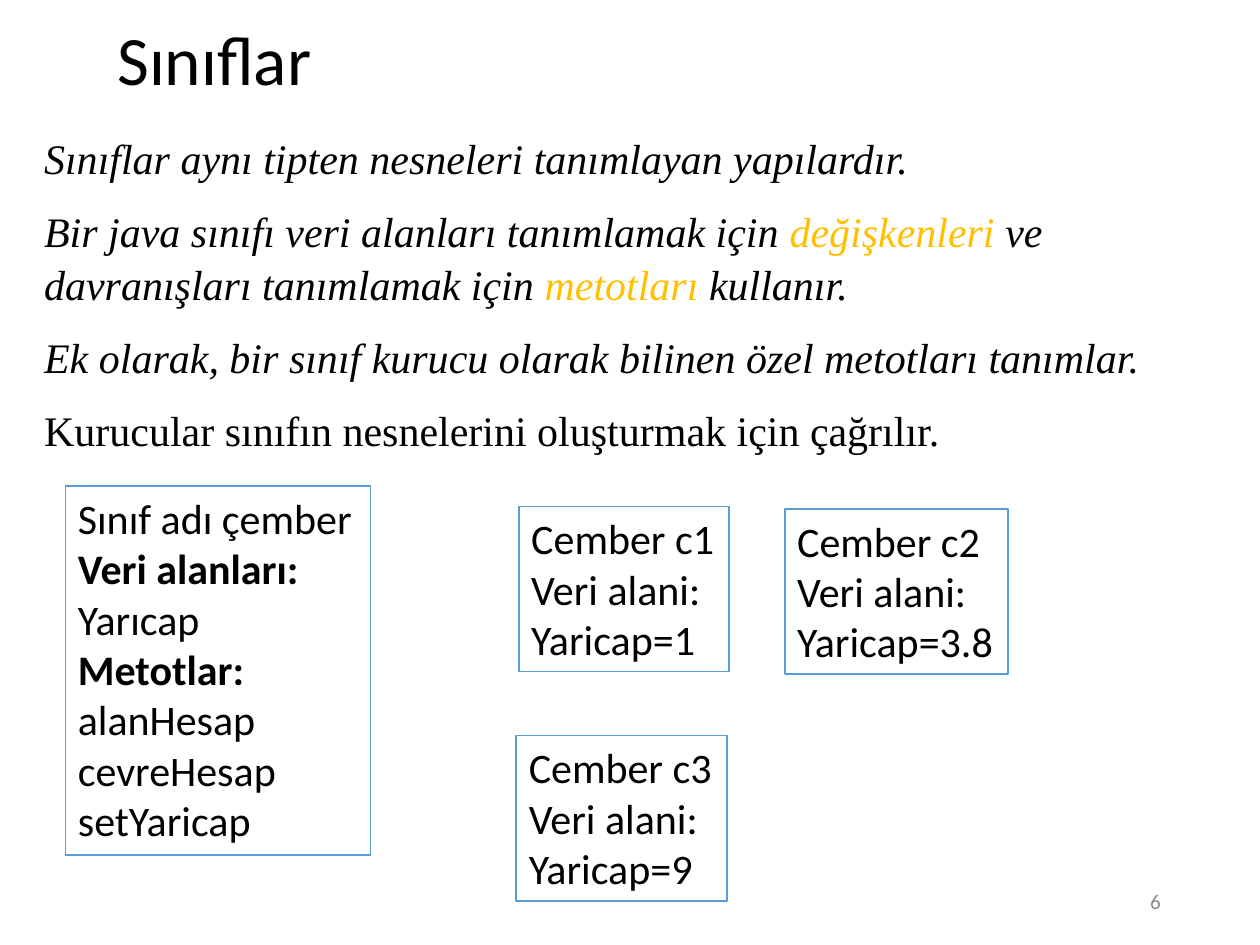
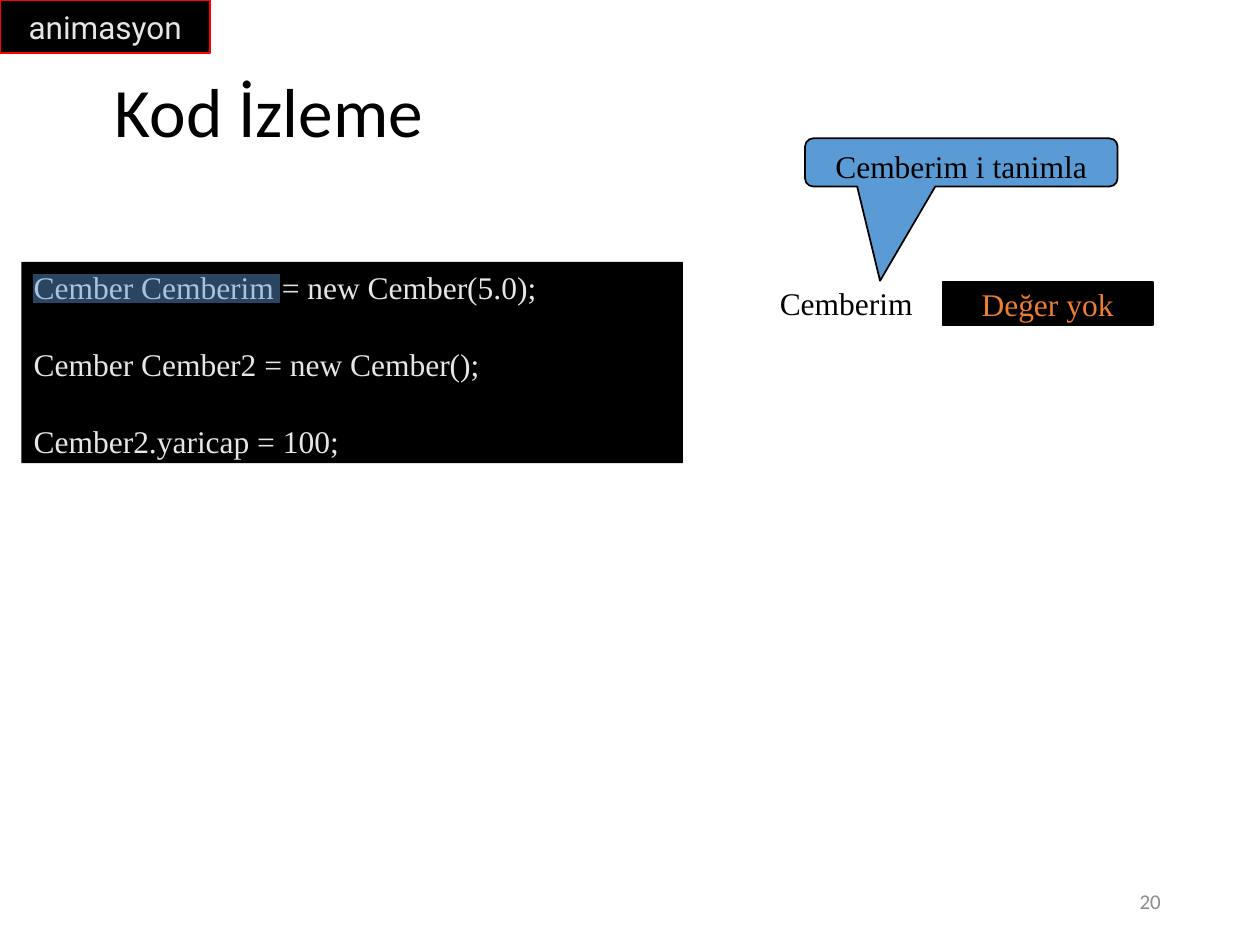
import pptx
import pptx.dml.color
import pptx.enum.shapes
import pptx.enum.text
import pptx.util
from lxml import etree
from pptx.oxml.ns import qn

Cm, Pt = pptx.util.Cm, pptx.util.Pt
ALIGN = pptx.enum.text.PP_ALIGN
ANCHOR = pptx.enum.text.MSO_ANCHOR
SHAPE = pptx.enum.shapes.MSO_SHAPE

COLORS = {
    "black": "000000", "white": "FFFFFF", "light": "E7E6E6", "grey": "8C8C8C",
    "blue": "5B9BD5", "gold": "FFC000", "orange": "ED7D31", "red": "FF0000",
}
SANS, SERIF, BADGE_FONT = "Calibri", "Times New Roman", "Roboto"

# Each paragraph is (runs, italic); each run is (text, color).
CLASS_NOTES = [
    ([("Sınıflar aynı tipten nesneleri tanımlayan yapılardır.", "black")], True),
    ([("Bir java sınıfı veri alanları tanımlamak için ", "black"),
      ("değişkenleri", "gold"),
      (" ve davranışları tanımlamak için ", "black"),
      ("metotları", "gold"),
      (" kullanır.", "black")], True),
    ([("Ek olarak, bir sınıf kurucu olarak bilinen özel metotları tanımlar.", "black")], True),
    ([("Kurucular sınıfın nesnelerini oluşturmak için çağrılır.", "black")], False),
]
CLASS_LINES = ["Sınıf adı çember", "Veri alanları:", "Yarıcap", "Metotlar:",
               "alanHesap", "cevreHesap", "setYaricap"]
CLASS_HEADINGS = ("Veri alanları:", "Metotlar:")
CLASS_BOX = (1.32, 9.8, 6.15, 7.44)
OBJECTS = [  # name, radius, left, top, width
    ("c1", "1", 10.46, 10.21, 4.24),
    ("c2", "3.8", 15.82, 10.26, 4.5),
    ("c3", "9", 10.41, 14.83, 4.24),
]
OBJECT_HEIGHT = 3.33
CODE_LINES = ["Cember Cemberim = new Cember(5.0);",
              "Cember Cember2 = new Cember();",
              "Cember2.yaricap = 100;"]


def rgb(name):
    return pptx.dml.color.RGBColor.from_string(COLORS[name])


def style(paragraph, font, size, color, align=ALIGN.LEFT):
    paragraph.alignment = align
    paragraph.font.name = font
    paragraph.font.size = Pt(size)
    paragraph.font.color.rgb = rgb(color)


def write(shape, lines, font, size, color, align=ALIGN.LEFT,
          anchor=ANCHOR.TOP, wrap=True, gap=0):
    """Fill a shape with one paragraph per line, gap points apart."""
    frame = shape.text_frame
    frame.word_wrap = wrap
    frame.vertical_anchor = anchor
    frame.text = "\n".join(lines)
    for index, paragraph in enumerate(frame.paragraphs):
        style(paragraph, font, size, color, align)
        if index and gap:
            paragraph.space_before = Pt(gap)
    return frame


def add_text_box(slide, box):
    return slide.shapes.add_textbox(*map(Cm, box))


def add_box(slide, box, fill, line=None, kind=SHAPE.RECTANGLE):
    shape = slide.shapes.add_shape(kind, *map(Cm, box))
    shape.shadow.inherit = False
    shape.fill.solid()
    shape.fill.fore_color.rgb = rgb(fill)
    if line:
        shape.line.color.rgb = rgb(line)
        shape.line.width = Pt(1)
    else:
        shape.line.fill.background()
    return shape


def set_opacity(shape, percent):
    color = shape.fill._xPr.find(qn("a:solidFill"))[0]
    etree.SubElement(color, qn("a:alpha"), val=str(percent * 1000))


def add_slide(presentation, title, left, top, number):
    """Add a title-only slide with its title and slide number."""
    slide = presentation.slides.add_slide(presentation.slide_layouts[5])
    heading = slide.shapes.title
    heading.left, heading.top = Cm(left), Cm(top)
    heading.width, heading.height = Cm(21.59), Cm(1.7)
    frame = write(heading, [title], SANS, 39.6, "black", anchor=ANCHOR.MIDDLE)
    frame.auto_size = pptx.enum.text.MSO_AUTO_SIZE.NONE
    frame.paragraphs[0].line_spacing = 0.9
    write(add_text_box(slide, (17.93, 17.65, 5.72, 1.02)), [number],
          SANS, 12, "grey", ALIGN.RIGHT, ANCHOR.MIDDLE)
    return slide


def add_classes_slide(presentation):
    slide = add_slide(presentation, "Sınıflar", 2.11, 0.43, "6")

    frame = add_text_box(slide, (0.64, 2.49, 24.13, 6.93)).text_frame
    frame.word_wrap = True
    for index, (runs, italic) in enumerate(CLASS_NOTES):
        paragraph = frame.add_paragraph() if index else frame.paragraphs[0]
        style(paragraph, SERIF, 24, "black")
        paragraph.font.italic = italic
        paragraph.line_spacing = 1.05
        if index:
            paragraph.space_before = Pt(11.5)
        for text, color in runs:
            run = paragraph.add_run()
            run.text = text
            if color != "black":
                run.font.color.rgb = rgb(color)

    class_box = add_box(slide, CLASS_BOX, "white", "blue")
    frame = write(class_box, CLASS_LINES, SANS, 24, "black", wrap=False)
    for paragraph in frame.paragraphs:
        paragraph.font.bold = paragraph.text in CLASS_HEADINGS

    for name, radius, left, top, width in OBJECTS:
        object_box = add_box(slide, (left, top, width, OBJECT_HEIGHT), "white", "blue")
        write(object_box, [f"Cember {name}", "Veri alani:", f"Yaricap={radius}"],
              SANS, 24, "black", wrap=False)


def add_trace_slide(presentation):
    slide = add_slide(presentation, "Kod İzleme", 2.06, 1.47, "20")

    code = add_box(slide, (0.43, 5.28, 13.34, 4.06), "black")
    write(code, CODE_LINES, SERIF, 18, "light", gap=22.4)
    highlight = add_box(slide, (0.64, 5.51, 5.03, 0.61), "blue", "black")
    set_opacity(highlight, 45)

    callout = add_box(slide, (16.23, 2.79, 6.3, 0.97), "blue", "black",
                      SHAPE.ROUNDED_RECTANGULAR_CALLOUT)
    for index, value in enumerate((-0.26, 2.46, 0.17)):
        callout.adjustments[index] = value
    write(callout, ["Cemberim i tanimla"], SERIF, 18, "black", ALIGN.CENTER)

    value_box = add_box(slide, (19, 5.69, 4.24, 0.86), "black", "black")
    frame = write(value_box, ["Değer yok"], SERIF, 18, "orange",
                  ALIGN.CENTER, ANCHOR.MIDDLE, wrap=False)
    frame.margin_left = frame.margin_right = Cm(0.03)
    frame.margin_top = frame.margin_bottom = Cm(0.03)
    write(add_text_box(slide, (15.47, 5.61, 3.58, 1.02)), ["Cemberim"],
          SERIF, 18, "black")

    badge = add_box(slide, (0, 0, 4.24, 1.07), "black", "red")
    write(badge, ["animasyon"], BADGE_FONT, 18, "light",
          ALIGN.CENTER, ANCHOR.MIDDLE, wrap=False)


def main():
    presentation = pptx.Presentation()
    presentation.slide_width, presentation.slide_height = Cm(25.4), Cm(19.05)
    add_classes_slide(presentation)
    add_trace_slide(presentation)
    presentation.save("out.pptx")


if __name__ == "__main__":
    main()
